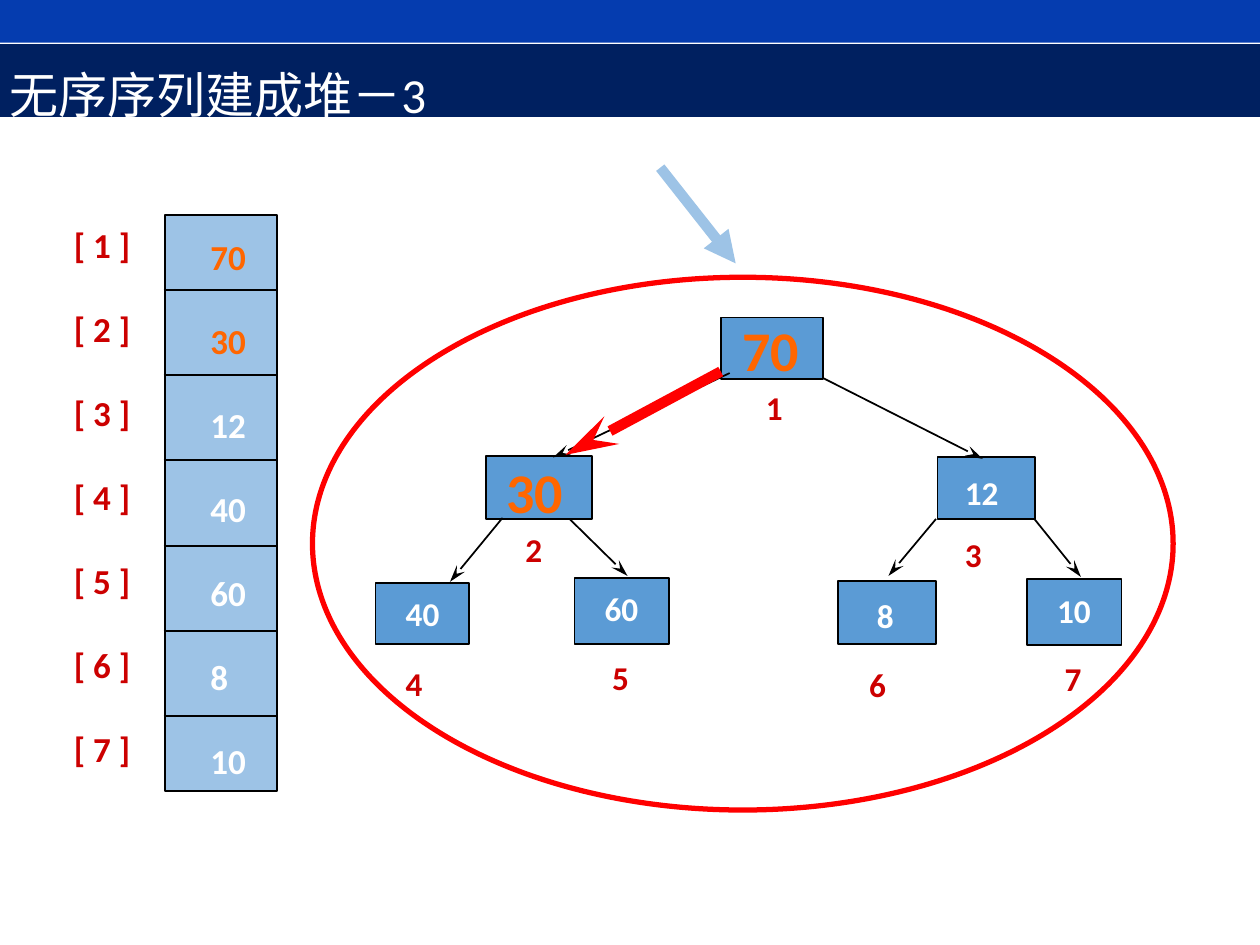
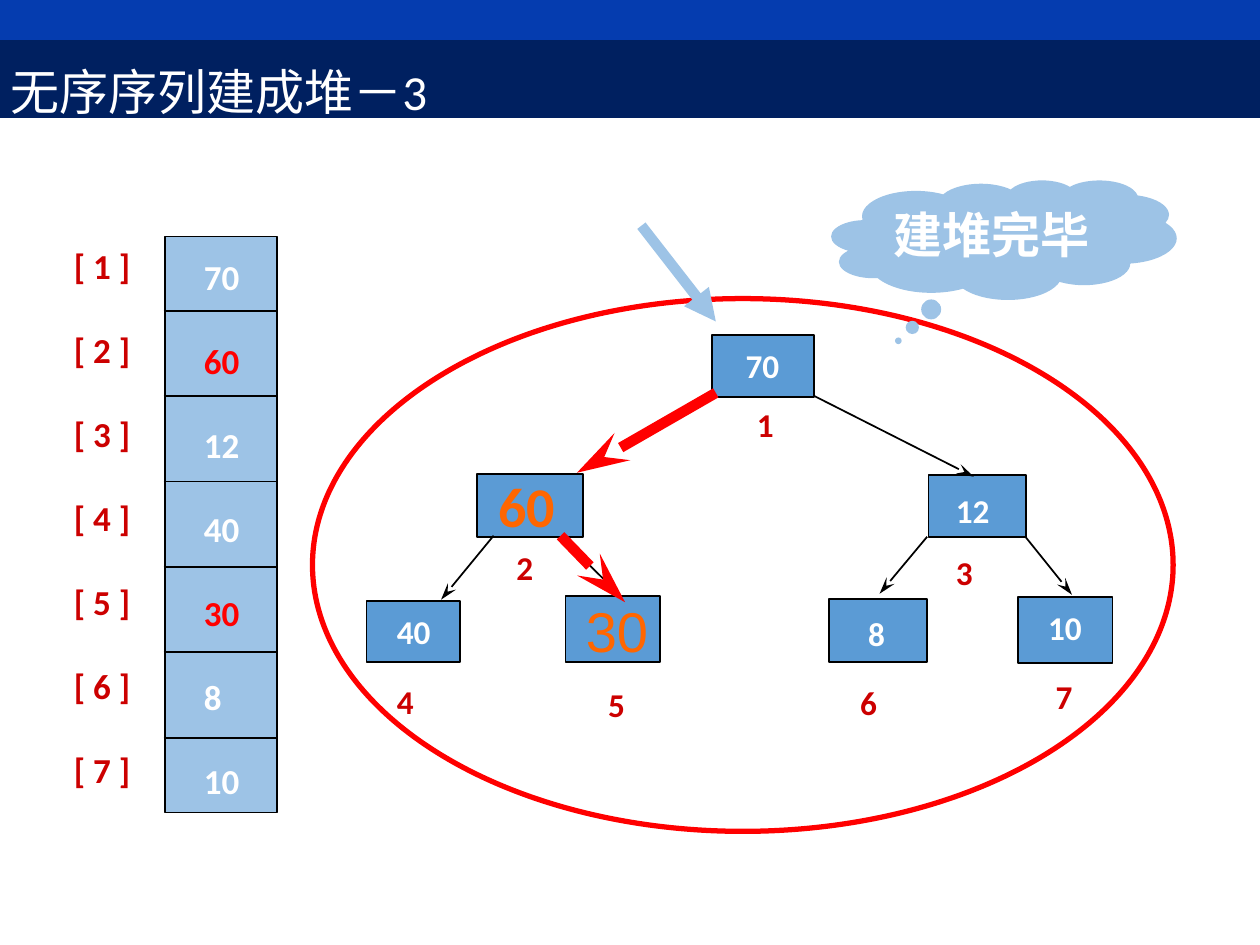
"""Build two slides that show the last steps of turning a list into a heap."""
from lxml.etree import SubElement
from pptx import Presentation
from pptx.dml.color import RGBColor
from pptx.enum.shapes import MSO_CONNECTOR, MSO_SHAPE
from pptx.enum.text import MSO_ANCHOR, PP_ALIGN
from pptx.oxml.ns import qn
from pptx.util import Cm, Pt

HUES = {
    "band": "053CAF", "title": "002060", "cell": "9DC3E6", "node": "5B9BD5",
    "white": "FFFFFF", "black": "000000", "red": "FF0000", "index": "CC0000",
    "hot": "FF6600",
}
TITLE = "无序序列建成堆－3"
INDEX = [f"[ {n} ]" for n in range(1, 8)]

PLAIN = {"size": Pt(19), "name": "Calibri", "bold": True}
BIG = {**PLAIN, "size": Pt(32)}
LIST = {**PLAIN, "size": Pt(20)}
HEAD = {"size": Pt(28), "name": "Calibri", "bold": False}
CLOUD = {**HEAD, "bold": True}
ARIAL = {"size": Pt(32), "name": "Arial", "bold": False}
BARB = {"type": "stealth", "len": "lg"}
WEDGE = {"type": "triangle"}

NODES = {
    1: (14.53, 6.4, 2.06, 1.24),
    2: (9.8, 9.19, 2.13, 1.27),
    3: (18.9, 9.22, 1.96, 1.24),
    4: (7.57, 11.76, 1.88, 1.22),
    5: (11.58, 11.66, 1.91, 1.32),
    6: (16.89, 11.71, 1.98, 1.27),
    7: (20.7, 11.68, 1.91, 1.32),
}
NUMS = {
    1: (15.24, 7.7), 2: (10.39, 10.57), 3: (19.25, 10.67), 4: (7.98, 13.28),
    5: (12.14, 13.16), 6: (17.32, 13.29), 7: (21.26, 13.17),
}
SPOTS = {
    1: (15.01, 6.5), 3: (19.25, 9.42), 4: (7.98, 11.86), 5: (11.99, 11.76),
    6: (17.48, 11.91), 7: (21.11, 11.79),
}
EDGES = {
    (1, 2): (14.71, 7.52, 11.15, 9.22),
    (1, 3): (16.59, 7.62, 19.81, 9.25),
    (2, 4): (10.13, 10.44, 9.07, 11.73),
    (2, 5): (11.48, 10.46, 12.65, 11.61),
    (3, 6): (18.87, 10.46, 17.91, 11.61),
    (3, 7): (20.85, 10.46, 21.79, 11.63),
}
STEPS = [
    {
        "head": (-0.05, 0.89, 25.45, 1.47), "drop": 0, "tree": (0, 0),
        "list": [70, 30, 12, 40, 60, 8, 10], "tints": {1: "hot", 2: "hot"},
        "text": (3.99, 4.62), "nums": {}, "skip": [],
        "large": {1: (14.76, 6.27, BIG), 2: (10.01, 9.12, BIG)},
        "swaps": [(14.53, 7.49, 11.4, 9.17)],
        "point": (13.31, 3.38, 14.83, 5.31), "note": None,
    },
    {
        "head": (-0.03, 0.81, 25.5, 1.57), "drop": 0.43, "tree": (-0.18, 0.36),
        "list": [70, 60, 12, 40, 30, 8, 10], "tints": {2: "red", 5: "red"},
        "text": (3.86, 5.03), "nums": {5: (12.24, 13.34)}, "skip": [(1, 2)],
        "large": {2: (10.03, 9.04, BIG), 5: (11.79, 11.56, ARIAL)},
        "swaps": [(14.43, 7.92, 11.63, 9.53), (11.3, 10.8, 12.6, 12.14)],
        "point": (12.93, 4.55, 14.43, 6.48), "note": "建堆完毕",
    },
]


def rgb(hue):
    return RGBColor.from_string(HUES[hue])


def style(item, looks):
    for key, val in looks.items():
        setattr(item, key, val)


def shape(slide, kind, area, fill, edge=None, width=1):
    form = slide.shapes.add_shape(kind, *map(Cm, area))
    form.shadow.inherit = False
    form.fill.solid()
    form.fill.fore_color.rgb = rgb(fill)
    if edge:
        form.line.color.rgb = rgb(edge)
        form.line.width = Pt(width)
    else:
        form.line.fill.background()
    return form


def rect(slide, area, fill, edge=None):
    return shape(slide, MSO_SHAPE.RECTANGLE, area, fill, edge)


def line(slide, ends, hue="black", width=1, tip=None):
    link = slide.shapes.add_connector(MSO_CONNECTOR.STRAIGHT, *map(Cm, ends))
    link.line.color.rgb = rgb(hue)
    link.line.width = Pt(width)
    if tip:
        SubElement(link.line._get_or_add_ln(), qn("a:tailEnd"), tip)
    SubElement(link._element.spPr, qn("a:effectLst"))


def write(para, text, looks, hue):
    run = para.add_run()
    run.text = str(text)
    style(run.font, looks)
    run.font.color.rgb = rgb(hue)


def box(slide, spot, size, pad):
    frame = slide.shapes.add_textbox(*map(Cm, (*spot, *size))).text_frame
    style(frame, {
        "word_wrap": False, "margin_left": Cm(pad), "margin_right": Cm(pad),
        "margin_top": Cm(pad / 2), "margin_bottom": Cm(pad / 2),
    })
    return frame


def label(slide, text, spot, looks, hue):
    size = (2.3, 1.57) if looks["size"] > Pt(20) else (1.3, 1.02)
    frame = box(slide, spot, size, 0.2)
    frame.word_wrap = True
    write(frame.paragraphs[0], text, looks, hue)


def column(slide, items, spot, wide, hues):
    frame = box(slide, spot, (wide, 11.38), 0.25)
    for num, (item, hue) in enumerate(zip(items, hues)):
        para = frame.add_paragraph() if num else frame.paragraphs[0]
        if num:
            para.space_before = Pt(24)
        write(para, item, LIST, hue)


def array(slide, step):
    drop = step["drop"]
    rect(slide, (3.33, 4.34 + drop, 2.26, 11.61), "cell", "black")
    for row in range(6):
        y = 5.84 + drop + 1.72 * row
        line(slide, (3.3, y, 5.59, y))
    column(slide, INDEX, (1.24, 4.38 + drop), 1.7, ["index"] * 7)
    hues = [step["tints"].get(num, "white") for num in NODES]
    column(slide, step["list"], step["text"], 1.22, hues)


def tree(slide, step):
    dx, dy = step["tree"]
    for x, y, wide, high in NODES.values():
        rect(slide, (x + dx, y + dy, wide, high), "node", "black")
    for pair, (x1, y1, x2, y2) in EDGES.items():
        if pair not in step["skip"]:
            ends = (x1 + dx, y1 + dy, x2 + dx, y2 + dy)
            line(slide, ends, tip=BARB)
    for ends in step["swaps"]:
        line(slide, ends, "red", 6, BARB)
    for num, val in enumerate(step["list"], 1):
        big = num in step["large"]
        x, y, looks = step["large"][num] if big else (*SPOTS[num], PLAIN)
        label(slide, val, (x + dx, y + dy), looks, "hot" if big else "white")
        x, y = step["nums"].get(num, NUMS[num])
        label(slide, num, (x + dx, y + dy), PLAIN, "index")


def title(slide, area):
    rect(slide, (0, 0, 25.4, 0.86), "band")
    frame = rect(slide, area, "title").text_frame
    style(frame, {"word_wrap": True, "vertical_anchor": MSO_ANCHOR.TOP})
    para = frame.paragraphs[0]
    style(para, {"alignment": PP_ALIGN.LEFT, "line_spacing": 1.25})
    write(para, TITLE, HEAD, "white")


def cloud(slide, text):
    area = (16.76, 3.63, 6.96, 2.41)
    form = shape(slide, MSO_SHAPE.CLOUD_CALLOUT, area, "cell")
    form.adjustments[0], form.adjustments[1] = -0.306, 0.845
    frame = form.text_frame
    style(frame, {"word_wrap": True, "vertical_anchor": MSO_ANCHOR.TOP})
    para = frame.paragraphs[0]
    para.alignment = PP_ALIGN.CENTER
    write(para, text, CLOUD, "white")


def main():
    deck = Presentation()
    style(deck, {"slide_width": Cm(25.4), "slide_height": Cm(19.05)})
    for step in STEPS:
        slide = deck.slides.add_slide(deck.slide_layouts[6])
        ring = (6.3, 5.59 + step["drop"], 17.35, 10.74)
        shape(slide, MSO_SHAPE.OVAL, ring, "white", "red", 3)
        array(slide, step)
        title(slide, step["head"])
        if step["note"]:
            cloud(slide, step["note"])
        tree(slide, step)
        line(slide, step["point"], "cell", 6, WEDGE)
    deck.save("out.pptx")


if __name__ == "__main__":
    main()
